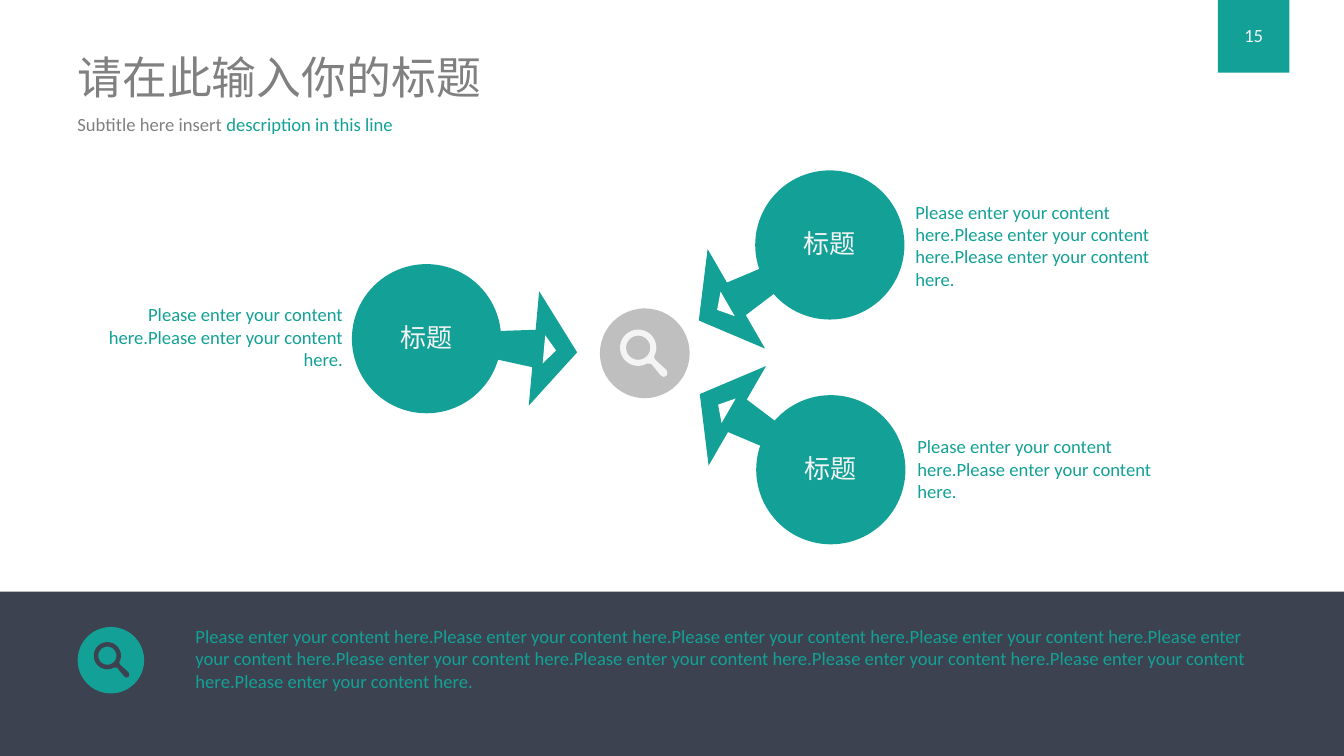
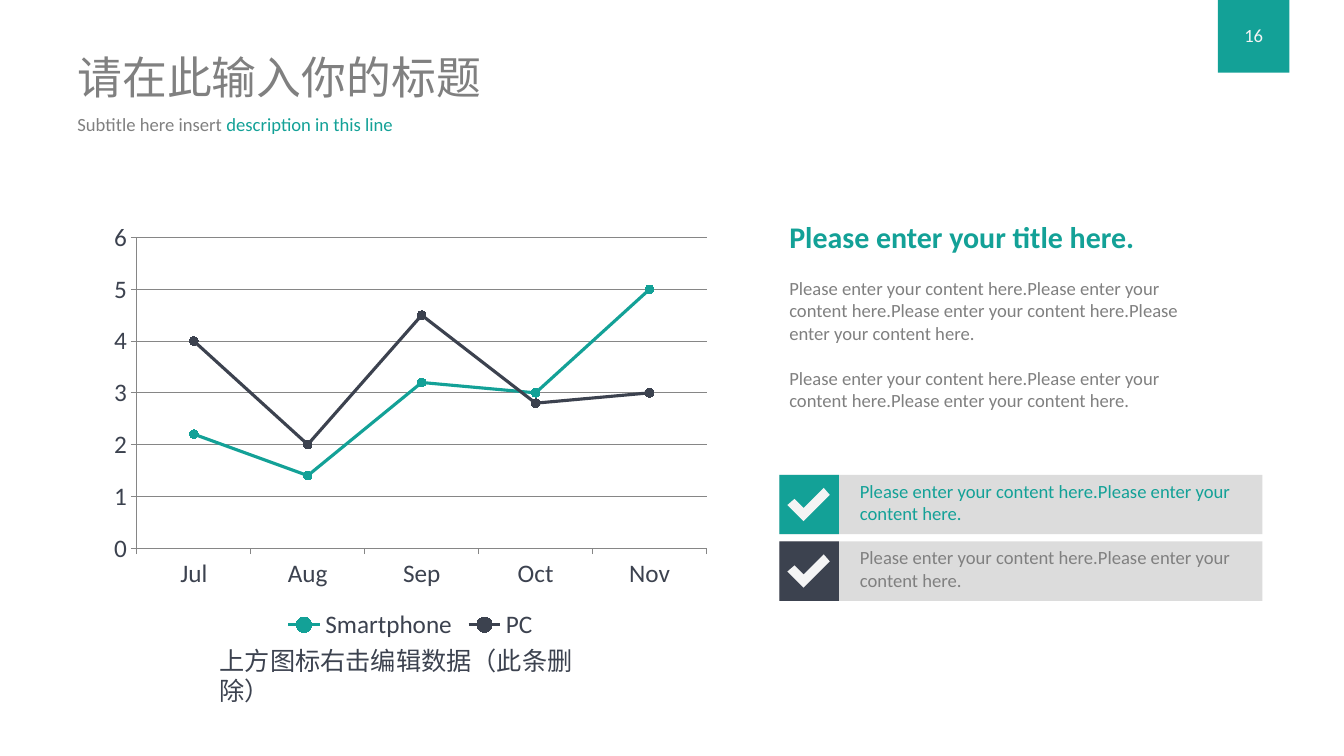
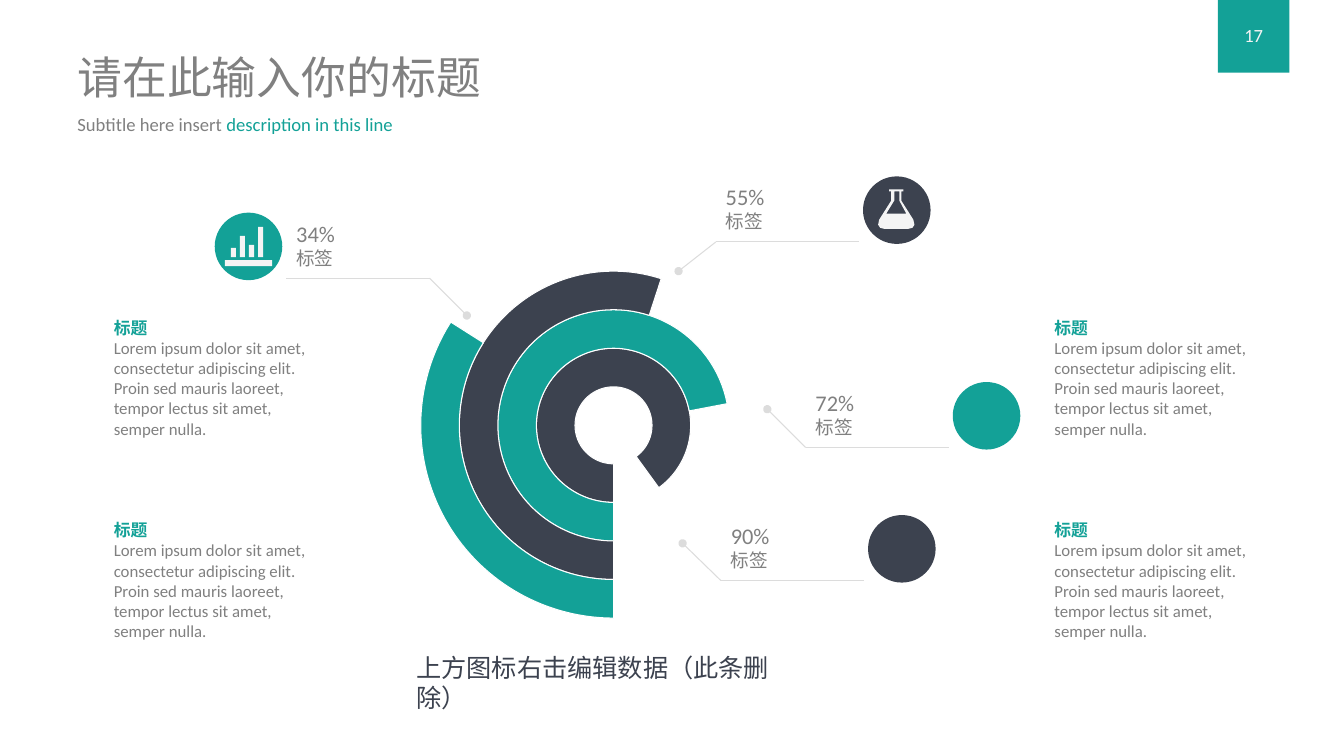
import math
from dataclasses import dataclass

import pptx
import pptx.chart.data
import pptx.dml.color
import pptx.enum.chart
import pptx.enum.shapes
import pptx.enum.text
import pptx.oxml
import pptx.oxml.ns
import pptx.util

Inches = pptx.util.Inches
Pt = pptx.util.Pt
RGBColor = pptx.dml.color.RGBColor
MSO_SHAPE = pptx.enum.shapes.MSO_SHAPE
PP_ALIGN = pptx.enum.text.PP_ALIGN
XL_CHART_TYPE = pptx.enum.chart.XL_CHART_TYPE

TEAL = RGBColor(0x13, 0xA1, 0x97)
NAVY = RGBColor(0x3C, 0x42, 0x4F)
GRAY = RGBColor(0x80, 0x80, 0x80)
SILVER = RGBColor(0xBF, 0xBF, 0xBF)
PALE = RGBColor(0xDC, 0xDC, 0xDC)
OFF_WHITE = RGBColor(0xF4, 0xF4, 0xF4)
WHITE = RGBColor(0xFF, 0xFF, 0xFF)
AXIS_GRAY = RGBColor(0x86, 0x86, 0x86)

FONT = "Calibri"
BODY = 13.3
CONTENT = "Please enter your content here."
LOREM = ("Lorem ipsum dolor sit amet, consectetur adipiscing elit. "
         "Proin sed mauris laoreet, tempor lectus sit amet, semper nulla.")
CHART_NOTE = "上方图标右击编辑数据（此条删除）"

Point = tuple[float, float]


@dataclass
class Para:
    text: str
    size: float = BODY
    color: RGBColor = GRAY
    bold: bool = False
    align: PP_ALIGN = PP_ALIGN.LEFT
    before: float = 0
    accent: str = ""


@dataclass
class Arm:
    center: Point
    angle: float


@dataclass
class Note:
    left: float
    top: float
    height: float
    repeats: int
    align: PP_ALIGN = PP_ALIGN.LEFT


@dataclass
class CheckRow:
    top: float
    box_color: RGBColor
    text_color: RGBColor


@dataclass
class Callout:
    percent: str
    dot: Point
    elbow: Point
    side: int
    color: RGBColor


def write(tf, paras: list[Para]) -> None:
    for i, para in enumerate(paras):
        p = tf.paragraphs[0] if i == 0 else tf.add_paragraph()
        p.alignment = para.align
        if para.before:
            p.space_before = Pt(para.before)
        p.font.name = FONT
        p.font.size = Pt(para.size)
        p.font.bold = para.bold
        p.font.color.rgb = para.color
        p.add_run().text = para.text
        if para.accent:
            r = p.add_run()
            r.text = para.accent
            r.font.color.rgb = TEAL


def add_text(s, left: float, top: float, width: float, height: float,
             *paras: Para, wrap: bool = True) -> None:
    sp = s.shapes.add_textbox(Inches(left), Inches(top), Inches(width), Inches(height))
    tf = sp.text_frame
    tf.word_wrap = wrap
    tf.auto_size = pptx.enum.text.MSO_AUTO_SIZE.SHAPE_TO_FIT_TEXT
    write(tf, list(paras))


def paint(sp, color: RGBColor) -> None:
    sp.shadow.inherit = False
    sp.fill.solid()
    sp.fill.fore_color.rgb = color
    sp.line.fill.background()


def add_box(s, kind: MSO_SHAPE, left: float, top: float, width: float,
            height: float, color: RGBColor, label: Para | None = None) -> None:
    sp = s.shapes.add_shape(kind, Inches(left), Inches(top), Inches(width), Inches(height))
    paint(sp, color)
    if label:
        tf = sp.text_frame
        tf.vertical_anchor = pptx.enum.text.MSO_ANCHOR.MIDDLE
        tf.margin_left = tf.margin_right = 0
        tf.margin_bottom = Inches(0.08)
        write(tf, [label])


def add_polygon(s, color: RGBColor, *contours: list[Point], origin: Point = (0, 0),
                scale: float = 1) -> None:
    placed = [[(Inches(origin[0] + x * scale), Inches(origin[1] + y * scale))
               for x, y in contour] for contour in contours]
    builder = s.shapes.build_freeform(*placed[0][0], scale=1.0)
    for i, contour in enumerate(placed):
        if i:
            builder.move_to(*contour[0])
        builder.add_line_segments(contour[1:], close=True)
    paint(builder.convert_to_shape(), color)


def add_line(s, start: Point, end: Point, dot: bool = False) -> None:
    cx = s.shapes.add_connector(pptx.enum.shapes.MSO_CONNECTOR.STRAIGHT,
                                Inches(start[0]), Inches(start[1]),
                                Inches(end[0]), Inches(end[1]))
    cx.line.color.rgb = PALE
    cx.line.width = Pt(0.75)
    sp_pr = cx._element.spPr
    if dot:
        ln = sp_pr.find(pptx.oxml.ns.qn("a:ln"))
        ln.append(pptx.oxml.parse_xml(
            f'<a:headEnd {pptx.oxml.ns.nsdecls("a")} type="oval"/>'))
    sp_pr.append(pptx.oxml.parse_xml(f'<a:effectLst {pptx.oxml.ns.nsdecls("a")}/>'))


def arc(center: Point, radius: float, first: int, last: int) -> list[Point]:
    step = 10 if last > first else -10
    return [(center[0] + radius * math.cos(math.radians(a)),
             center[1] + radius * math.sin(math.radians(a)))
            for a in range(first, last + step, step)]


def add_magnifier(s, left: float, top: float, scale: float, color: RGBColor) -> None:
    lens = (0.18, 0.18)
    handle = [(0.35, 0.3), (0.46, 0.4), (0.47, 0.43), (0.46, 0.46),
              (0.43, 0.47), (0.4, 0.45), (0.31, 0.34)]
    add_polygon(s, color, arc(lens, 0.18, 60, 390) + handle,
                arc(lens, 0.12, 350, 0), origin=(left, top), scale=scale)


def add_common(prs, number: int):
    s = prs.slides.add_slide(prs.slide_layouts[6])
    add_box(s, MSO_SHAPE.RECTANGLE, 12.08, 0, 0.71, 0.72, TEAL,
            Para(str(number), color=OFF_WHITE, align=PP_ALIGN.CENTER))
    add_text(s, 0.67, 0.44, 4.24, 0.64, Para("请在此输入你的标题", 32), wrap=False)
    add_text(s, 0.67, 1.07, 3.36, 0.33,
             Para("Subtitle here insert ", accent="description in this line"), wrap=False)
    return s


def add_arm(s, arm: Arm) -> None:
    cos, sin = math.cos(math.radians(arm.angle)), math.sin(math.radians(arm.angle))
    cx, cy = arm.center
    neck = [(0.46, -0.11), (0.46, 0.11), (1.1, 0.19), (1.1, -0.19)]
    head = [(1.5, 0), (1.07, 0.57), (1.07, -0.57)]
    hole = [(1.29, 0), (1.17, 0.14), (1.17, -0.14)]
    for outline, color in ((neck, TEAL), (head, TEAL), (hole, WHITE)):
        add_polygon(s, color, [(u * cos - v * sin, u * sin + v * cos) for u, v in outline],
                    origin=arm.center)
    add_box(s, MSO_SHAPE.OVAL, cx - 0.74, cy - 0.74, 1.48, 1.48, TEAL,
            Para("标题", 18.6, OFF_WHITE, align=PP_ALIGN.CENTER))


def build_arms_slide(prs) -> None:
    s = add_common(prs, 15)
    add_box(s, MSO_SHAPE.RECTANGLE, 0, 5.87, 13.33, 1.63, NAVY)
    add_box(s, MSO_SHAPE.OVAL, 0.77, 6.22, 0.66, 0.66, TEAL)
    add_magnifier(s, 0.93, 6.37, 0.75, NAVY)
    add_text(s, 1.84, 6.15, 10.79, 0.77, Para(CONTENT * 10, color=TEAL))
    for arm in (Arm((8.23, 2.43), 150), Arm((4.23, 3.36), 5.2), Arm((8.24, 4.66), 210)):
        add_arm(s, arm)
    for note in (Note(0.77, 2.96, 0.77, 2, PP_ALIGN.RIGHT),
                 Note(8.98, 1.94, 0.99, 3), Note(9, 4.27, 0.77, 2)):
        add_text(s, note.left, note.top, 2.73, note.height,
                 Para(CONTENT * note.repeats, color=TEAL, align=note.align))
    add_box(s, MSO_SHAPE.OVAL, 5.95, 3.06, 0.89, 0.89, SILVER)
    add_magnifier(s, 6.15, 3.27, 1, OFF_WHITE)


def add_chart(s, kind: XL_CHART_TYPE, left: float, top: float, width: float,
              height: float, categories: list[str], series: dict[str, list[float]]):
    data = pptx.chart.data.CategoryChartData()
    data.categories = categories
    for name, values in series.items():
        data.add_series(name, values)
    chart = s.shapes.add_chart(kind, Inches(left), Inches(top), Inches(width),
                               Inches(height), data).chart
    chart.has_title = False
    chart.font.name = FONT
    chart.font.size = Pt(18)
    chart.font.color.rgb = NAVY
    return chart


def build_line_slide(prs) -> None:
    s = add_common(prs, 16)
    chart = add_chart(s, XL_CHART_TYPE.LINE_MARKERS, 1.01, 2.12, 6.12, 4.28,
                      ["Jul", "Aug", "Sep", "Oct", "Nov"],
                      {"Smartphone": [2.2, 1.4, 3.2, 3, 5], "PC": [4, 2, 4.5, 2.8, 3]})
    chart.has_legend = True
    chart.legend.position = pptx.enum.chart.XL_LEGEND_POSITION.BOTTOM
    chart.legend.include_in_layout = False
    chart.plots[0].vary_by_categories = False
    chart.value_axis.has_major_gridlines = True
    for part in (chart.value_axis, chart.category_axis, chart.value_axis.major_gridlines):
        part.format.line.color.rgb = AXIS_GRAY
        part.format.line.width = Pt(0.75)
    for series, color in zip(chart.plots[0].series, (TEAL, NAVY)):
        series.smooth = False
        series.format.line.color.rgb = color
        series.format.line.width = Pt(2.25)
        series.marker.style = pptx.enum.chart.XL_MARKER_STYLE.CIRCLE
        series.marker.size = 6
        series.marker.format.fill.solid()
        series.marker.format.fill.fore_color.rgb = color
        series.marker.format.line.color.rgb = color
    add_text(s, 2.08, 6.35, 4.06, 0.42, Para(CHART_NOTE, 18, NAVY))
    add_text(s, 7.73, 2.12, 4.3, 2.02,
             Para("Please enter your title here.", 21.4, TEAL, bold=True),
             Para(CONTENT * 4, before=16), Para(CONTENT * 3, before=16))
    tick = [(0.36, 0), (0.16, 0.2), (0.07, 0.11), (0, 0.17), (0.16, 0.33), (0.42, 0.07)]
    for row in (CheckRow(4.71, TEAL, TEAL), CheckRow(5.37, NAVY, GRAY)):
        add_box(s, MSO_SHAPE.RECTANGLE, 7.73, row.top, 4.79, 0.59, PALE)
        add_box(s, MSO_SHAPE.RECTANGLE, 7.73, row.top, 0.59, 0.59, row.box_color)
        add_polygon(s, OFF_WHITE, tick, origin=(7.81, row.top + 0.13))
        add_text(s, 8.43, row.top, 3.98, 0.55, Para(CONTENT * 2, color=row.text_color))


def add_callout(s, callout: Callout) -> None:
    x, y = callout.elbow
    end = x + 1.42 * callout.side
    add_line(s, callout.dot, callout.elbow, dot=True)
    add_line(s, callout.elbow, (end, y))
    add_text(s, min(x, end), y - 0.63, 1.57, 0.59,
             Para(callout.percent, 16), Para("标签"))
    circle_left = end + 0.04 if callout.side > 0 else end - 0.71
    add_box(s, MSO_SHAPE.OVAL, circle_left, y - 0.65, 0.67, 0.67, callout.color)


def rectangle(left: float, top: float, right: float, bottom: float) -> list[Point]:
    return [(left, top), (right, top), (right, bottom), (left, bottom)]


def build_ring_slide(prs) -> None:
    s = add_common(prs, 17)
    for left in (1.03, 10.36):
        for top in (3.1, 5.11):
            add_text(s, left, top, 2.11, 1.31,
                     Para("标题", 12, TEAL, bold=True), Para(LOREM, 12))
    shares = [90, 72, 55, 34]
    chart = add_chart(s, XL_CHART_TYPE.DOUGHNUT, 3.69, 2.17, 4.79, 4.1, ["1", "2"],
                      {f"Series {i}": [v, 100 - v] for i, v in enumerate(shares, 1)})
    chart.has_legend = False
    plot = chart.plots[0]
    plot.vary_by_categories = True
    plot.has_data_labels = False
    for tag, value in (("c:firstSliceAng", "180"), ("c:holeSize", "70")):
        plot._element.find(pptx.oxml.ns.qn(tag)).set("val", value)
    for series, color in zip(plot.series, (NAVY, TEAL, NAVY, TEAL)):
        share, rest = (series.points[i].format for i in range(2))
        share.fill.solid()
        share.fill.fore_color.rgb = color
        share.line.color.rgb = WHITE
        share.line.width = Pt(0.75)
        rest.fill.background()
        rest.line.fill.background()
    for callout in (Callout("34%", (4.63, 3.13), (4.26, 2.76), -1, TEAL),
                    Callout("55%", (6.73, 2.69), (7.1, 2.4), 1, NAVY),
                    Callout("72%", (7.61, 4.06), (7.99, 4.44), 1, TEAL),
                    Callout("90%", (6.77, 5.39), (7.15, 5.76), 1, NAVY)):
        add_callout(s, callout)
    bar_tops = [0.21, 0.09, 0.18, 0]
    bars = [rectangle(0.06 + 0.09 * i, top, 0.11 + 0.09 * i, 0.3)
            for i, top in enumerate(bar_tops)]
    add_polygon(s, OFF_WHITE, rectangle(0, 0.33, 0.47, 0.39), *bars, origin=(2.23, 2.25))
    flask = [(0.36, 0.3), (0.24, 0.11), (0.24, 0.02), (0.26, 0.02), (0.26, 0),
             (0.12, 0), (0.12, 0.02), (0.14, 0.02), (0.14, 0.11), (0.02, 0.3),
             (0.01, 0.35), (0.03, 0.38), (0.07, 0.39), (0.31, 0.39), (0.35, 0.38),
             (0.37, 0.35)]
    glass = [(0.09, 0.24), (0.17, 0.11), (0.17, 0.02), (0.22, 0.02), (0.22, 0.11),
             (0.29, 0.24)]
    add_polygon(s, OFF_WHITE, flask, glass, origin=(8.7, 1.88))
    add_text(s, 4.03, 6.42, 4.06, 0.42, Para(CHART_NOTE, 18, NAVY))


def main() -> None:
    prs = pptx.Presentation()
    prs.slide_width = Inches(13.33)
    prs.slide_height = Inches(7.5)
    build_arms_slide(prs)
    build_line_slide(prs)
    build_ring_slide(prs)
    prs.save("out.pptx")


if __name__ == "__main__":
    main()
